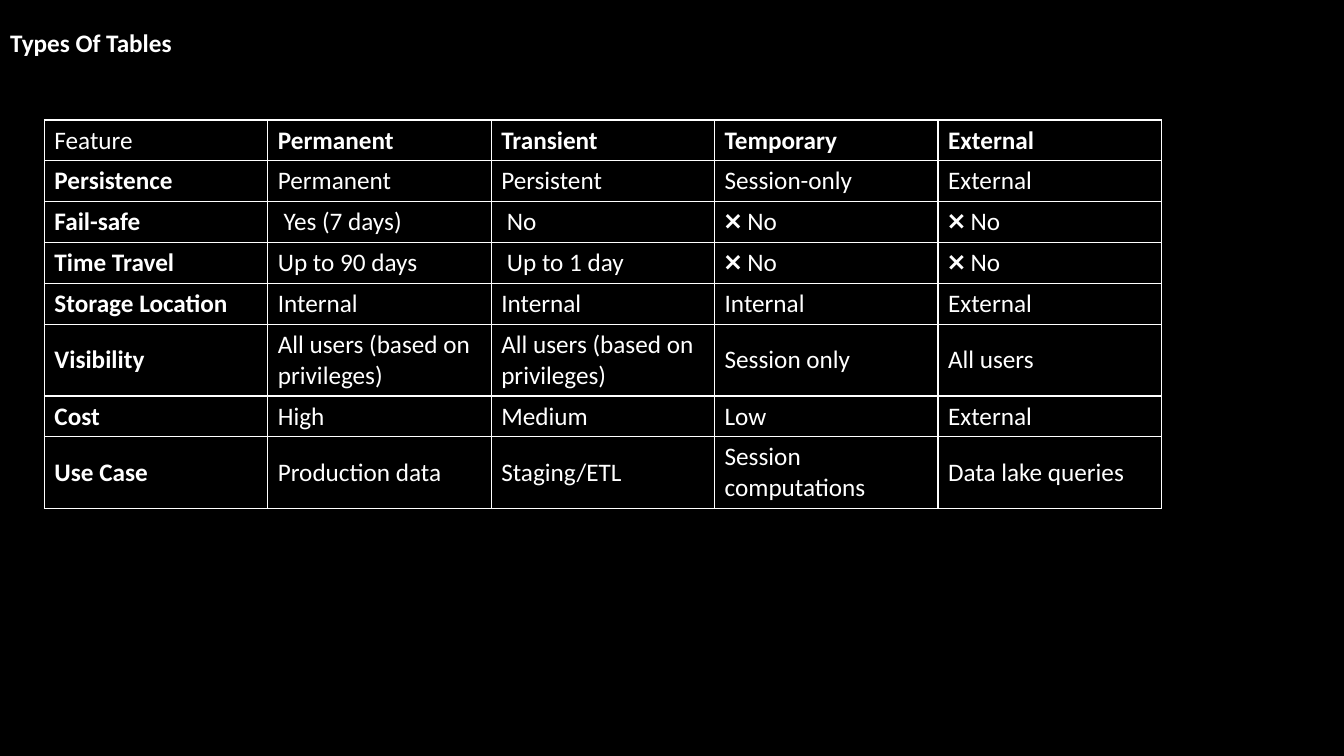
from lxml.etree import SubElement as sub
from pptx import Presentation
from pptx.dml.color import RGBColor
from pptx.enum.text import MSO_ANCHOR as Anchor, PP_ALIGN as Align
from pptx.oxml.ns import qn
from pptx.util import Inches, Pt

BLACK = RGBColor(0, 0, 0)
WHITE = RGBColor(255, 255, 255)
FONT = {"name": "Calibri", "size": Pt(18)}
COL = 2.216
LOW, TALL = 0.4, 0.7

ROWS = [
    ["Feature", "Permanent", "Transient", "Temporary", "External"],
    ["Persistence", "Permanent", "Persistent", "Session-only", "External"],
    ["Fail-safe", " Yes (7 days)", " No", "❌ No", "❌ No"],
    ["Time Travel", "Up to 90 days", " Up to 1 day", "❌ No", "❌ No"],
    ["Storage Location", "Internal", "Internal", "Internal", "External"],
    ["Visibility", "All users (based on privileges)",
     "All users (based on privileges)", "Session only", "All users"],
    ["Cost", "High", "Medium", "Low", "External"],
    ["Use Case", "Production data", "Staging/ETL", "Session computations",
     "Data lake queries"],
]
WRAPPED = {"Visibility", "Use Case"}


def style(para, bold):
    for key, val in {**FONT, "bold": bold}.items():
        setattr(para.font, key, val)
    para.font.color.rgb = WHITE


def add_title(slide, text):
    title = slide.shapes.title
    box = {"left": 0, "top": 0.2, "width": 6.43, "height": 0.44}
    for key, val in box.items():
        setattr(title, key, Inches(val))
    frame = title.text_frame
    frame.text = text
    frame.vertical_anchor = Anchor.MIDDLE
    para = frame.paragraphs[0]
    para.alignment = Align.LEFT
    style(para, True)


def add_edges(cell):
    props = cell._tc.get_or_add_tcPr()
    for side in ("lnL", "lnR", "lnT", "lnB"):
        line = sub(props, qn("a:" + side), w=str(Pt(1)))
        fill = sub(line, qn("a:solidFill"))
        sub(fill, qn("a:srgbClr"), val=str(WHITE))


def fill_cell(cell, text, bold):
    cell.text = text
    cell.vertical_anchor = Anchor.MIDDLE
    style(cell.text_frame.paragraphs[0], bold)
    add_edges(cell)
    cell.fill.background()


def add_grid(slide, rows):
    highs = [TALL if row[0] in WRAPPED else LOW for row in rows]
    count = len(rows[0])
    table = slide.shapes.add_table(
        len(rows), count, Inches(0.44), Inches(1.19),
        Inches(COL * count), Inches(sum(highs))).table
    table.first_row = table.horz_banding = False
    for col in table.columns:
        col.width = Inches(COL)
    for r, row in enumerate(rows):
        table.rows[r].height = Inches(highs[r])
        for c, text in enumerate(row):
            # Headings are bold, except the corner
            fill_cell(table.cell(r, c), text, (r == 0) != (c == 0))


def main():
    # Black widescreen slide
    deck = Presentation()
    deck.slide_width, deck.slide_height = Inches(13.33), Inches(7.5)
    slide = deck.slides.add_slide(deck.slide_layouts[5])
    back = slide.background.fill
    back.solid()
    back.fore_color.rgb = BLACK

    # Title and comparison table
    add_title(slide, "Types Of Tables")
    add_grid(slide, ROWS)
    deck.save("out.pptx")


if __name__ == "__main__":
    main()
